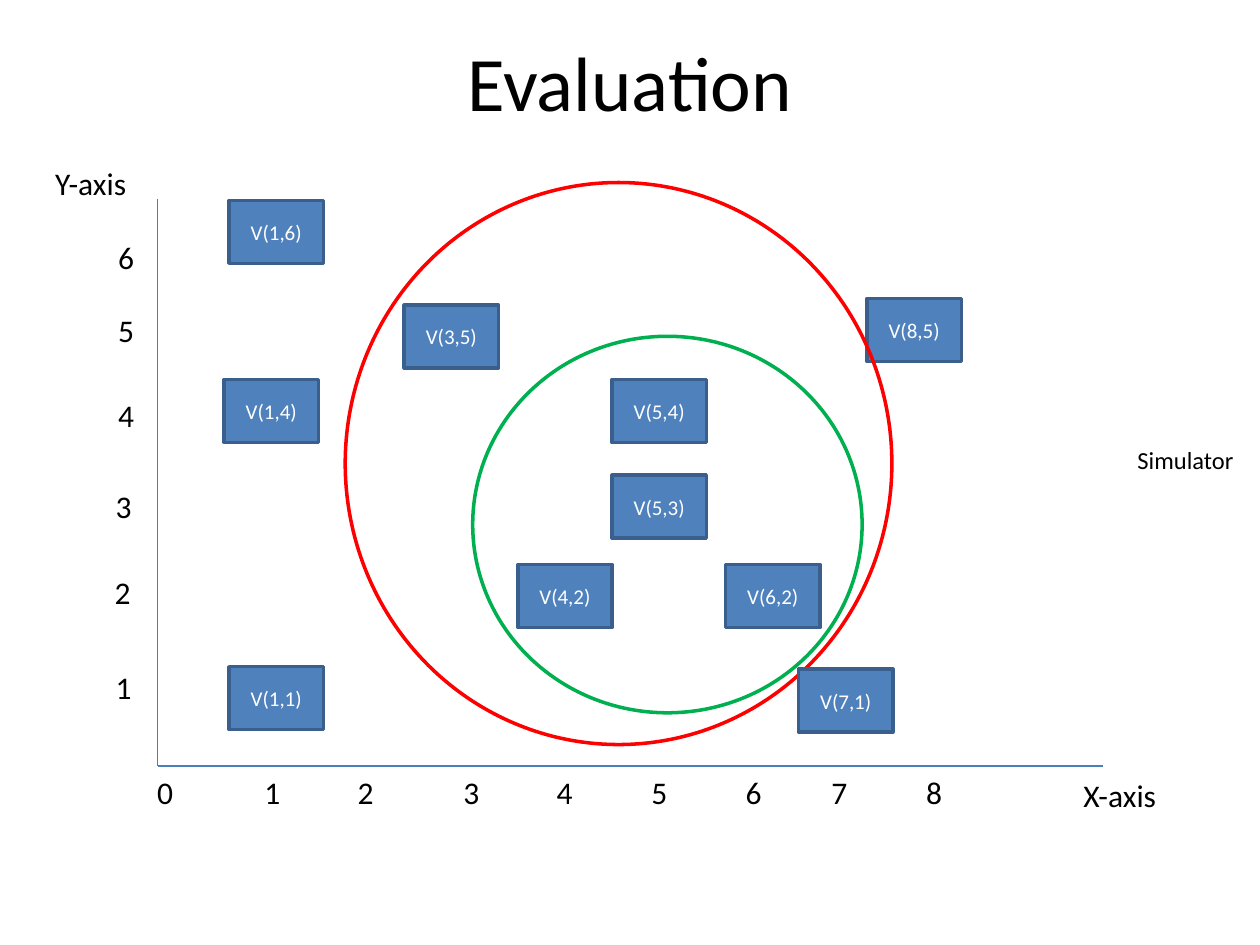
"""Build the Evaluation slide: vehicles on a grid with two range circles."""
from lxml.etree import SubElement
from pptx import Presentation
from pptx.dml.color import RGBColor
from pptx.enum.shapes import MSO_CONNECTOR, MSO_SHAPE
from pptx.enum.text import MSO_ANCHOR, MSO_AUTO_SIZE, PP_ALIGN
from pptx.oxml.ns import qn
from pptx.util import Cm, Pt

TITLE = ("Evaluation", 1.27, 0.03, 22.86, 3.18)
AXES = [(3.18, 4.01, 3.18, 15.44), (3.18, 15.44, 22.23, 15.44)]
NAMES = [("X-axis", 21.59, 15.52, 3.81, 1.02), ("Y-axis", 0.86, 3.18, 2.13, 1.02)]
COLS = [2.92, 5.08, 6.96, 9.09, 10.97, 12.88, 14.78, 16.51, 18.42]
ROWS = [(2.08, 13.34), (2.06, 11.43), (2.08, 9.7),
        (2.13, 7.85), (2.13, 6.15), (2.13, 4.67)]
BACK = [("V(1,1)", 4.62, 13.44), ("V(5,3)", 12.34, 9.58), ("V(5,4)", 12.34, 7.65),
        ("V(4,2)", 10.44, 11.38), ("V(3,5)", 8.15, 6.15), ("V(1,6)", 4.62, 4.04),
        ("V(8,5)", 17.48, 6.02), ("V(6,2)", 14.63, 11.38)]
FRONT = [("V(7,1)", 16.1, 13.49), ("V(1,4)", 4.52, 7.65)]
NEAR = ("00B050", 9.53, 6.78, 7.85, 7.59)
FAR = ("FF0000", 6.96, 3.68, 11.02, 11.33)
NOTE = ("Simulator", 22.68, 8.84, 2.46, 0.86)
TICK = (0.84, 1.02)
CAR = (1.9, 1.27)

MID = {"word_wrap": True, "vertical_anchor": MSO_ANCHOR.MIDDLE}
FIT = {"word_wrap": False, "auto_size": MSO_AUTO_SIZE.SHAPE_TO_FIT_TEXT}


def tint(code):
    return RGBColor.from_string(code)


def put(item, form):
    for key, val in form.items():
        setattr(item, key, val)


def write(shape, text, size, ink="000000", frame=FIT, align=PP_ALIGN.LEFT):
    put(shape.text_frame, frame)
    para = shape.text_frame.paragraphs[0]
    para.alignment = align
    run = para.add_run()
    put(run, {"text": text})
    put(run.font, {"name": "Calibri", "size": Pt(size)})
    run.font.color.rgb = tint(ink)


def label(slide, text, *box, size=18, **form):
    shape = slide.shapes.add_textbox(*map(Cm, box))
    write(shape, text, size, **form)


def draw(slide, kind, edge, *box):
    shape = slide.shapes.add_shape(kind, *map(Cm, box))
    shape.shadow.inherit = False
    shape.line.color.rgb = tint(edge)
    shape.line.width = Pt(2)
    return shape


def cars(slide, group):
    for text, left, top in group:
        shape = draw(slide, MSO_SHAPE.RECTANGLE, "3A5F8C", left, top, *CAR)
        shape.fill.solid()
        shape.fill.fore_color.rgb = tint("4F81BD")
        write(shape, text, 12, "FFFFFF", MID, PP_ALIGN.CENTER)


def ring(slide, edge, *box):
    draw(slide, MSO_SHAPE.OVAL, edge, *box).fill.background()


def axis(slide, *ends):
    line = slide.shapes.add_connector(MSO_CONNECTOR.STRAIGHT, *map(Cm, ends))
    line.line.color.rgb = tint("4B7EBC")
    line.line.width = Pt(0.75)
    SubElement(line._element.spPr, qn("a:effectLst"))


def main():
    deck = Presentation()
    put(deck, {"slide_width": Cm(25.4), "slide_height": Cm(19.05)})
    slide = deck.slides.add_slide(deck.slide_layouts[6])
    label(slide, *TITLE, size=44, frame=MID, align=PP_ALIGN.CENTER)
    for ends in AXES:
        axis(slide, *ends)
    for name in NAMES:
        label(slide, *name)
    for num, left in enumerate(COLS):
        label(slide, str(num), left, 15.45, *TICK)
    for num, spot in enumerate(ROWS, 1):
        label(slide, str(num), *spot, *TICK)
    cars(slide, BACK)
    ring(slide, *NEAR)
    label(slide, *NOTE, size=14)
    ring(slide, *FAR)
    cars(slide, FRONT)
    deck.save("out.pptx")


if __name__ == "__main__":
    main()
